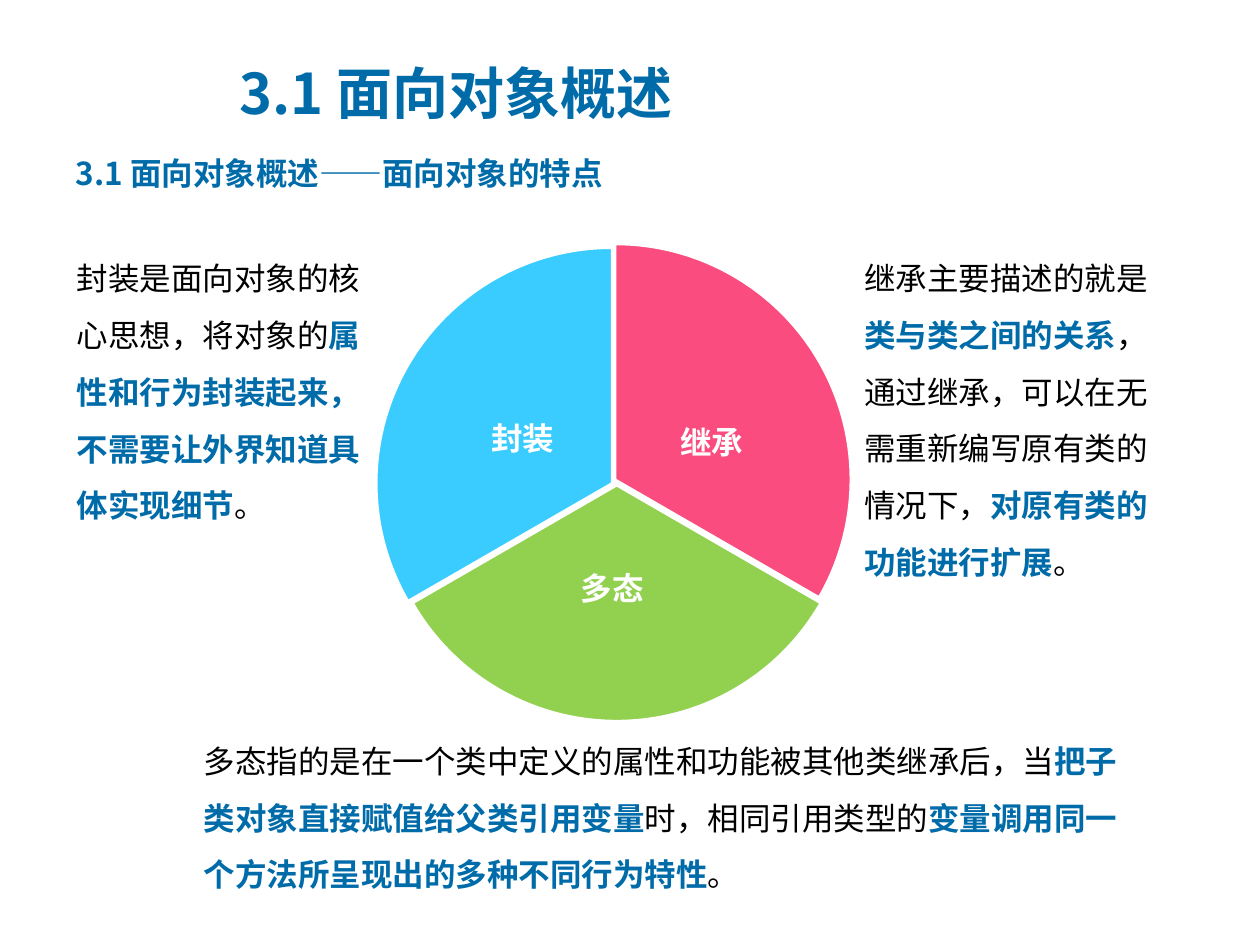
import pptx
import pptx.dml.color
import pptx.enum.shapes
import pptx.enum.text
import pptx.oxml.ns
import pptx.util
from lxml import etree
from pptx.util import Inches

CJK_FONT = "Noto Sans CJK SC"
BLUE, BLACK, WHITE = "006BA9", "000000", "FFFFFF"
TOP = pptx.enum.text.MSO_ANCHOR.TOP
MIDDLE = pptx.enum.text.MSO_ANCHOR.MIDDLE
PLAIN = {"name": "Arial", "size": pptx.util.Pt(18), "bold": False}
STRONG = {"name": CJK_FONT, "size": pptx.util.Pt(18), "bold": True}
TITLE = {**STRONG, "size": pptx.util.Pt(32)}
LABEL = {**PLAIN, "bold": True}


def rgb(hex_color):
    return pptx.dml.color.RGBColor.from_string(hex_color)


def set_attributes(target, values):
    for key, value in values.items():
        setattr(target, key, value)


def add_run(paragraph, text, font_format, color):
    run = paragraph.add_run()
    run.text = text
    set_attributes(run.font, font_format)
    run.font.color.rgb = rgb(color)
    east_asian = etree.SubElement(run.font._element, pptx.oxml.ns.qn("a:ea"))
    east_asian.set("typeface", CJK_FONT)


def fill_heading(placeholder, box, text, font_format, anchor):
    """Place a heading placeholder in its box, left-aligned without a bullet."""
    set_attributes(placeholder, dict(zip(("left", "top", "width", "height"), map(Inches, box))))
    set_attributes(placeholder.text_frame, {
        "word_wrap": True,
        "auto_size": pptx.enum.text.MSO_AUTO_SIZE.NONE,
        "vertical_anchor": anchor,
    })
    paragraph = placeholder.text_frame.paragraphs[0]
    properties = paragraph._p.get_or_add_pPr()
    properties.set("marL", "0")
    properties.set("indent", "0")
    etree.SubElement(properties, pptx.oxml.ns.qn("a:buNone"))
    set_attributes(paragraph, {
        "alignment": pptx.enum.text.PP_ALIGN.LEFT,
        "space_before": pptx.util.Pt(0),
    })
    add_run(paragraph, text, font_format, BLUE)


def add_description(slide, box, parts):
    """Write a paragraph in which every second part is emphasised."""
    description = slide.shapes.add_textbox(*map(Inches, box))
    description.text_frame.word_wrap = True
    paragraph = description.text_frame.paragraphs[0]
    paragraph.line_spacing = 1.5
    for index, part in enumerate(parts):
        font_format, color = (STRONG, BLUE) if index % 2 else (PLAIN, BLACK)
        add_run(paragraph, part, font_format, color)


def add_sector(slide, box, start_angle, color, label, label_box):
    """Draw a third of the circle and its label as one group."""
    group = slide.shapes.add_group_shape()
    sector = group.shapes.add_shape(pptx.enum.shapes.MSO_SHAPE.PIE, *map(Inches, box))
    # Angles are stored in 60000ths of a degree, adjustments in 100000ths
    for index, angle in enumerate((start_angle, (start_angle + 120) % 360)):
        sector.adjustments[index] = angle * 0.6
    sector.shadow.inherit = False
    sector.fill.solid()
    sector.fill.fore_color.rgb = rgb(color)
    sector.line.color.rgb = rgb(WHITE)
    sector.line.width = pptx.util.Pt(1)

    caption = group.shapes.add_textbox(*map(Inches, label_box))
    caption.text_frame.word_wrap = False
    add_run(caption.text_frame.paragraphs[0], label, LABEL, WHITE)


def main():
    presentation = pptx.Presentation()
    presentation.slide_width, presentation.slide_height = Inches(10), Inches(7.5)
    slide = presentation.slides.add_slide(presentation.slide_layouts[1])

    # Title and section heading
    fill_heading(slide.shapes.title, (1.8, 0.43, 5.41, 0.61),
                 "3.1 面向对象概述", TITLE, MIDDLE)
    fill_heading(slide.placeholders[1], (0.5, 1.17, 9, 0.46),
                 "3.1 面向对象概述——面向对象的特点", STRONG, TOP)

    # Circle of three features: left, top, start angle, colour, label, label position
    diameter = 3.73
    for left, top, angle, color, label, label_left, label_top in (
        (2.99, 1.97, 150, "3BCCFF", "封装", 3.8, 3.28),
        (3.02, 1.94, 270, "FA4C7E", "继承", 5.3, 3.31),
        (3.03, 1.99, 30, "92D050", "多态", 4.51, 4.47),
    ):
        add_sector(slide, (left, top, diameter, diameter), angle, color,
                   label, (label_left, label_top, 0.7, 0.4))

    # Descriptions around the circle
    add_description(slide, (0.51, 1.86, 2.52, 2.35), (
        "封装是面向对象的核心思想，将对象的",
        "属性和行为封装起来，不需要让外界知道具体实现细节",
        "。",
    ))
    add_description(slide, (6.76, 1.86, 2.69, 2.8), (
        "继承主要描述的就是",
        "类与类之间的关系",
        "，通过继承，可以在无需重新编写原有类的情况下，",
        "对原有类的功能进行扩展",
        "。",
    ))
    add_description(slide, (1.52, 5.69, 7.46, 1.45), (
        "多态指的是在一个类中定义的属性和功能被其他类继承后，当",
        "把子类对象直接赋值给父类引用变量",
        "时，相同引用类型的",
        "变量调用同一个方法所呈现出的多种不同行为特性",
        "。",
    ))

    presentation.save("out.pptx")


if __name__ == "__main__":
    main()
